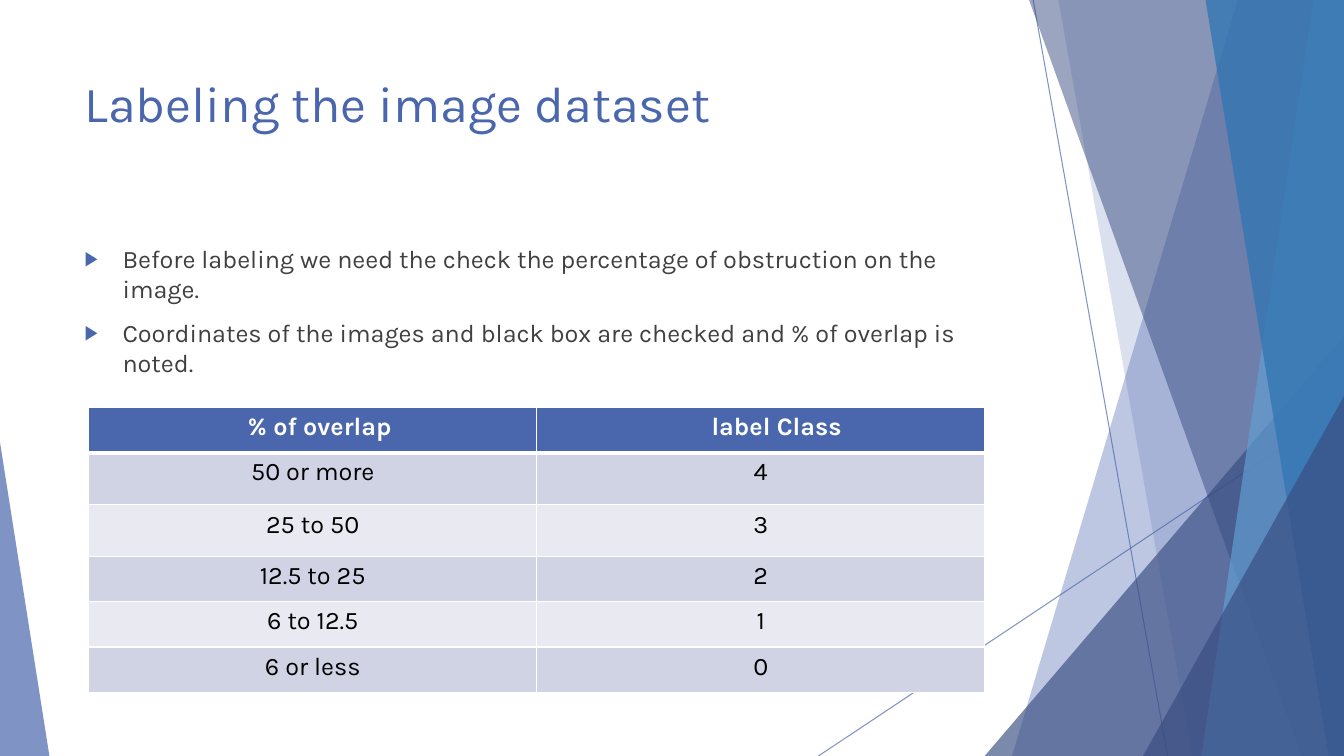
from dataclasses import dataclass

from lxml import etree
from pptx import Presentation
from pptx.dml.color import RGBColor
from pptx.enum.shapes import MSO_CONNECTOR, MSO_SHAPE
from pptx.enum.text import MSO_ANCHOR, MSO_AUTO_SIZE, PP_ALIGN
from pptx.oxml.ns import qn
from pptx.util import Pt

STRAIGHT = MSO_CONNECTOR.STRAIGHT
TRIANGLE = MSO_SHAPE.ISOSCELES_TRIANGLE
TOP = MSO_ANCHOR.TOP
NO_AUTOFIT = MSO_AUTO_SIZE.NONE
LEFT, CENTER = PP_ALIGN.LEFT, PP_ALIGN.CENTER

WIDTH, HEIGHT = 960, 540
FONT = "Karla"
COLORS = {
    "blue": "4A66AC",
    "navy": "384C81",
    "sky": "629DD1",
    "ocean": "3477B2",
    "white": "FFFFFF",
    "black": "000000",
    "gray": "404040",
    "odd row": "D0D3E3",
    "even row": "E9EAF1",
}


@dataclass
class Ray:
    start: tuple[float, float]
    end: tuple[float, float]


@dataclass
class Shard:
    top_left: float
    bottom_left: float
    color: str
    opacity: int


@dataclass
class Corner:
    left: float
    top: float
    width: float
    apex: float
    color: str
    opacity: int


@dataclass
class Row:
    height: float
    overlap: str
    label: str


RAYS = [Ray((738, 0), (834, HEIGHT)), Ray((WIDTH, 290), (584.6, HEIGHT))]
FACETS = [
    Shard(884.2, 722.9, "blue", 36),
    Shard(756, 851.8, "blue", 20),
    Corner(703.4, 239.8, 256.6, 1, "navy", 66),
    Shard(735.1, 929.5, "navy", 50),
    Shard(938.2, 858.2, "sky", 70),
    Shard(861.1, 949, "ocean", 80),
    Corner(816.5, 283, 143.5, 1, "navy", 66),
    Corner(0, 316, 35.3, 0, "blue", 70),
]
BULLETS = [
    "Before labeling we need the check the percentage of obstruction on the image.",
    "Coordinates of the images and black box are checked and % of overlap is noted.",
]
ROWS = [
    Row(32.4, "% of overlap", "label Class"),
    Row(37.2, "50 or more", "4"),
    Row(36.7, "25 to 50", "3"),
    Row(32.4, "12.5 to 25", "2"),
    Row(32.4, "6 to 12.5", "1"),
    Row(32.4, "6 or less", "0"),
]
COLUMN_WIDTH = 320
HEADER_INDENTS = [17, 30]


def rgb(name: str) -> RGBColor:
    return RGBColor.from_string(COLORS[name])


def set_opacity(shape, percent: int) -> None:
    for color in shape._element.spPr.iter(qn("a:srgbClr")):
        etree.SubElement(color, qn("a:alpha"), val=str(percent * 1000))


def draw_ray(slide, ray: Ray) -> None:
    line = slide.shapes.add_connector(
        STRAIGHT, *(Pt(value) for value in ray.start + ray.end)
    )
    line.line.color.rgb = rgb("blue")
    line.line.width = Pt(0.75)
    set_opacity(line, 70)
    etree.SubElement(line._element.spPr, qn("a:effectLst"))


def draw_facet(slide, facet: Shard | Corner) -> None:
    if isinstance(facet, Shard):
        outline = slide.shapes.build_freeform(Pt(facet.top_left), 0)
        corners = [(WIDTH, 0), (WIDTH, HEIGHT), (facet.bottom_left, HEIGHT)]
        outline.add_line_segments([(Pt(x), Pt(y)) for x, y in corners], close=True)
        shape = outline.convert_to_shape()
    else:
        shape = slide.shapes.add_shape(
            TRIANGLE, Pt(facet.left), Pt(facet.top),
            Pt(facet.width), Pt(HEIGHT - facet.top),
        )
        shape.adjustments[0] = facet.apex
    shape.shadow.inherit = False
    shape.fill.solid()
    shape.fill.fore_color.rgb = rgb(facet.color)
    shape.line.fill.background()
    set_opacity(shape, facet.opacity)


def format_para(para, size: float, color: str, align, bold: bool = False) -> None:
    para.alignment = align
    for span in para.runs:
        span.font.name = FONT
        span.font.size = Pt(size)
        span.font.bold = bold
        span.font.color.rgb = rgb(color)


def place(slide, box, top: float, height: float) -> None:
    box.left, box.top, box.width, box.height = Pt(53.3), Pt(top), Pt(677), Pt(height)
    box.text_frame.vertical_anchor = TOP
    box.text_frame.auto_size = NO_AUTOFIT
    box.text_frame.word_wrap = True
    slide.shapes._spTree.append(box._element)


def add_bullet(para) -> None:
    properties = para._p.get_or_add_pPr()
    properties.set("marL", str(Pt(27)))
    properties.set("indent", str(-Pt(27)))
    color = etree.SubElement(properties, qn("a:buClr"))
    etree.SubElement(color, qn("a:srgbClr"), val=COLORS["blue"])
    etree.SubElement(properties, qn("a:buSzPct"), val="80000")
    etree.SubElement(properties, qn("a:buChar"), char="▶")


def set_borders(cell, row_index: int) -> None:
    widths = {
        "a:lnL": 1,
        "a:lnR": 1,
        "a:lnT": 3 if row_index == 1 else 1,
        "a:lnB": 3 if row_index == 0 else 1,
    }
    properties = cell._tc.get_or_add_tcPr()
    for tag, width in widths.items():
        line = etree.SubElement(properties, qn(tag), w=str(Pt(width)))
        fill = etree.SubElement(line, qn("a:solidFill"))
        etree.SubElement(fill, qn("a:srgbClr"), val=COLORS["white"])


def draw_table(slide) -> None:
    table = slide.shapes.add_table(
        len(ROWS), 2, Pt(63.4), Pt(291), Pt(2 * COLUMN_WIDTH),
        Pt(sum(row.height for row in ROWS)),
    ).table
    for column in table.columns:
        column.width = Pt(COLUMN_WIDTH)
    for row_index, row in enumerate(ROWS):
        table.rows[row_index].height = Pt(row.height)
        header = row_index == 0
        fill = "blue" if header else "odd row" if row_index % 2 else "even row"
        for column_index, text in enumerate((row.overlap, row.label)):
            cell = table.cell(row_index, column_index)
            set_borders(cell, row_index)
            cell.fill.solid()
            cell.fill.fore_color.rgb = rgb(fill)
            if header:
                cell.margin_left = Pt(HEADER_INDENTS[column_index])
            cell.text_frame.text = text
            para = cell.text_frame.paragraphs[0]
            format_para(para, 18, "white" if header else "black", CENTER, header)


def main() -> None:
    deck = Presentation()
    deck.slide_width, deck.slide_height = Pt(WIDTH), Pt(HEIGHT)
    page = deck.slides.add_slide(deck.slide_layouts[1])
    for ray in RAYS:
        draw_ray(page, ray)
    for facet in FACETS:
        draw_facet(page, facet)

    title, body = page.shapes.title, page.placeholders[1]
    place(page, title, 48, 104)
    title.text_frame.text = "Labeling the image dataset"
    format_para(title.text_frame.paragraphs[0], 36, "blue", LEFT)

    place(page, body, 170, 305.5)
    body.text_frame.text = "\n".join(BULLETS)
    for para in body.text_frame.paragraphs:
        format_para(para, 18, "gray", LEFT)
        para.space_before = Pt(10)
        add_bullet(para)

    draw_table(page)
    deck.save("out.pptx")


if __name__ == "__main__":
    main()
